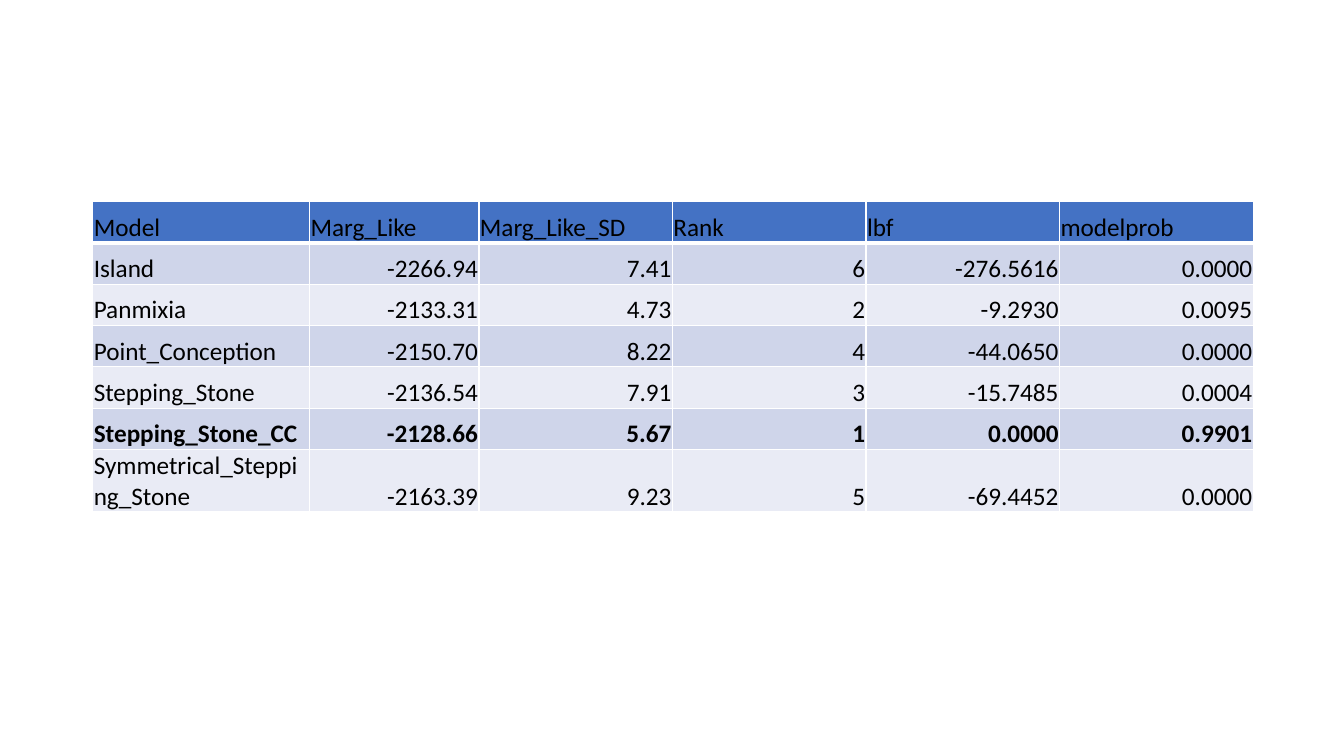
"""Build a slide with a table that compares population models."""
import pptx
import pptx.dml.color
import pptx.enum.text
import pptx.oxml
import pptx.oxml.ns
import pptx.util

HEADINGS = ("Model", "Marg_Like", "Marg_Like_SD", "Rank", "lbf", "modelprob")
MODELS = (
    ("Island", "-2266.94", "7.41", "6", "-276.5616", "0.0000"),
    ("Panmixia", "-2133.31", "4.73", "2", "-9.2930", "0.0095"),
    ("Point_Conception", "-2150.70", "8.22", "4", "-44.0650", "0.0000"),
    ("Stepping_Stone", "-2136.54", "7.91", "3", "-15.7485", "0.0004"),
    ("Stepping_Stone_CC", "-2128.66", "5.67", "1", "0.0000", "0.9901"),
    ("Symmetrical_Stepping_Stone", "-2163.39", "9.23", "5", "-69.4452", "0.0000"),
)
BEST_RANK = "1"
RANK_COLUMN = HEADINGS.index("Rank")
COLUMN_WIDTHS = (2.15, 1.68) + (1.92,) * 4
ROW_HEIGHT = 0.41
TABLE_LEFT, TABLE_TOP = 0.92, 2
HEADER_FILL, BAND_FILLS = "4472C4", ("CFD5EA", "E9EBF5")
BORDER_COLOR, TEXT_COLOR = "FFFFFF", "000000"
INSET = 0.01


def color(hex_string):
    return pptx.dml.color.RGBColor.from_string(hex_string)


def set_borders(cell, row_index):
    widths = {"L": 1, "R": 1, "T": 3 if row_index == 1 else 1, "B": 3 if row_index == 0 else 1}
    properties = cell._tc.get_or_add_tcPr()
    for side, width in widths.items():
        properties.append(pptx.oxml.parse_xml(
            f'<a:ln{side} {pptx.oxml.ns.nsdecls("a")} w="{pptx.util.Pt(width)}">'
            f'<a:solidFill><a:srgbClr val="{BORDER_COLOR}"/></a:solidFill></a:ln{side}>'))


def fill_cell(cell, text, row_index, column_index, bold):
    set_borders(cell, row_index)
    cell.fill.solid()
    cell.fill.fore_color.rgb = color(BAND_FILLS[(row_index - 1) % 2] if row_index else HEADER_FILL)
    cell.vertical_anchor = pptx.enum.text.MSO_ANCHOR.BOTTOM
    cell.margin_left = cell.margin_right = cell.margin_top = pptx.util.Inches(INSET)
    cell.margin_bottom = 0
    paragraph = cell.text_frame.paragraphs[0]
    is_number = row_index > 0 and column_index > 0
    alignments = pptx.enum.text.PP_ALIGN
    paragraph.alignment = alignments.RIGHT if is_number else alignments.LEFT
    run = paragraph.add_run()
    run.text = text
    run.font.name = "Calibri"
    run.font.size = pptx.util.Pt(18)
    run.font.bold = bold
    run.font.color.rgb = color(TEXT_COLOR)


def main():
    presentation = pptx.Presentation()
    presentation.slide_width = pptx.util.Inches(13.33)
    presentation.slide_height = pptx.util.Inches(7.5)
    slide = presentation.slides.add_slide(presentation.slide_layouts.get_by_name("Blank"))
    rows = (HEADINGS,) + MODELS
    table = slide.shapes.add_table(
        len(rows), len(HEADINGS), pptx.util.Inches(TABLE_LEFT), pptx.util.Inches(TABLE_TOP),
        pptx.util.Inches(sum(COLUMN_WIDTHS)), pptx.util.Inches(ROW_HEIGHT * len(rows))).table
    for column, width in zip(table.columns, COLUMN_WIDTHS):
        column.width = pptx.util.Inches(width)
    for row_index, values in enumerate(rows):
        table.rows[row_index].height = pptx.util.Inches(ROW_HEIGHT)
        bold = values[RANK_COLUMN] == BEST_RANK
        for column_index, text in enumerate(values):
            fill_cell(table.cell(row_index, column_index), text, row_index, column_index, bold)
    presentation.save("out.pptx")


if __name__ == "__main__":
    main()
